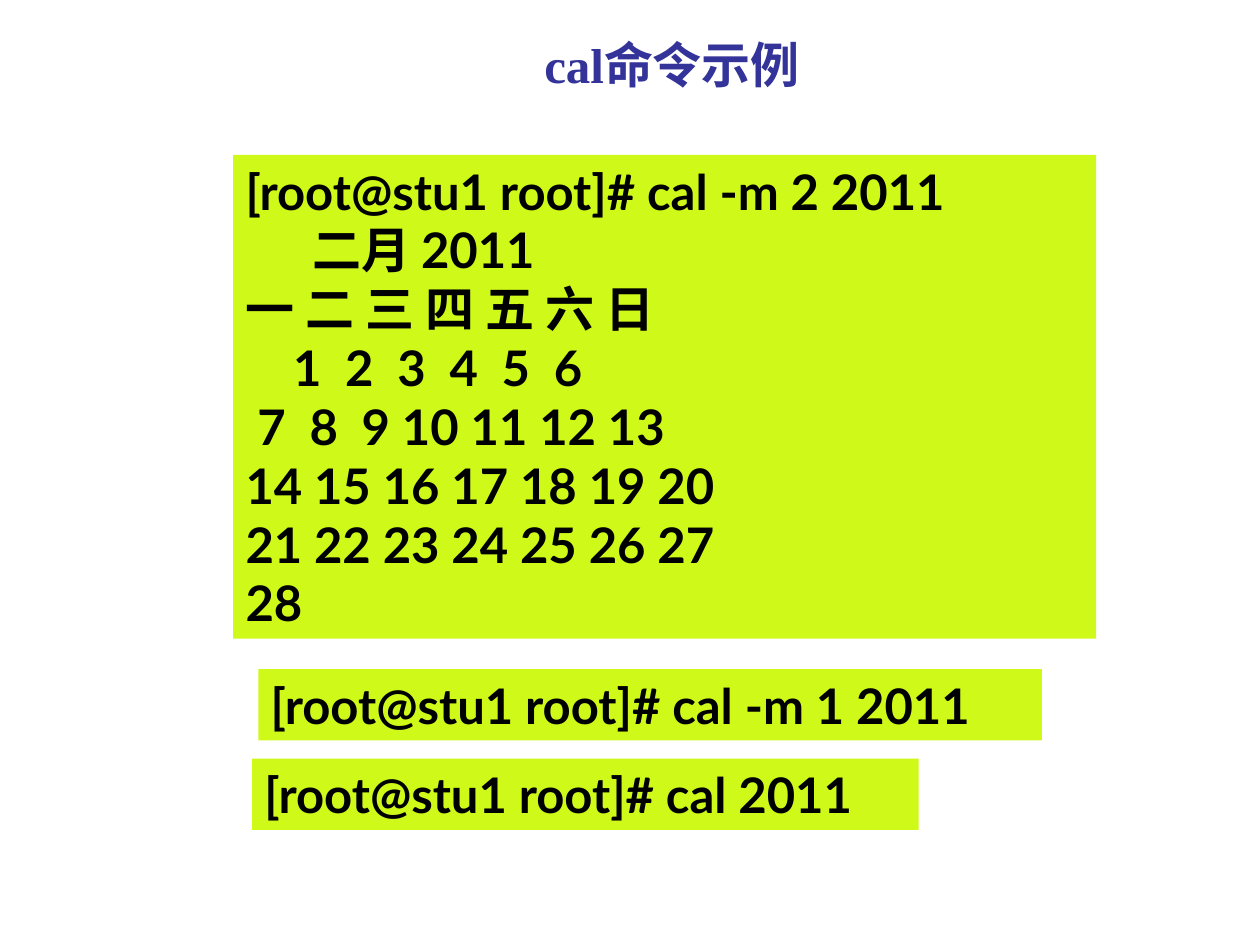
from pptx import Presentation
from pptx.dml.color import RGBColor
from pptx.enum.shapes import MSO_SHAPE as Shape
from pptx.enum.text import MSO_ANCHOR as Anchor, PP_ALIGN as Align
from pptx.util import Inches, Pt

WIDTH, HEIGHT = 10, 7.5
TITLE_COLOUR, TEXT_COLOUR, TERMINAL_FILL = "333399", "000000", "CEF919"
TEXT_SIZE = 28
PROMPT = "[root@stu1 root]# "

FEBRUARY = [
    PROMPT + "cal -m 2 2011",
    "      二月 2011",
    "一 二 三 四 五 六 日",
    "    1  2  3  4  5  6",
    " 7  8  9 10 11 12 13",
    "14 15 16 17 18 19 20",
    "21 22 23 24 25 26 27",
    "28",
]


def colour(hex_code):
    return RGBColor.from_string(hex_code)


def write_lines(frame, lines, font_name, hex_code, align):
    frame.word_wrap = True
    for number, line in enumerate(lines):
        paragraph = frame.paragraphs[0] if number == 0 else frame.add_paragraph()
        paragraph.alignment = align
        run = paragraph.add_run()
        run.text = line
        run.font.name = font_name
        run.font.size = Pt(TEXT_SIZE)
        run.font.bold = True
        run.font.color.rgb = colour(hex_code)


def add_title(slide, text, left, top, width, height):
    title = slide.shapes.add_textbox(*map(Inches, (left, top, width, height)))
    title.text_frame.vertical_anchor = Anchor.MIDDLE
    write_lines(title.text_frame, [text], "Times New Roman", TITLE_COLOUR, Align.CENTER)


def add_terminal(slide, lines, left, top, width):
    # One line takes 0.47 in, plus the top and bottom margins
    height = 0.1 + 0.4675 * len(lines)
    terminal = slide.shapes.add_shape(
        Shape.RECTANGLE, *map(Inches, (left, top, width, height)))
    terminal.shadow.inherit = False
    terminal.fill.solid()
    terminal.fill.fore_color.rgb = colour(TERMINAL_FILL)
    terminal.line.fill.background()
    terminal.text_frame.vertical_anchor = Anchor.TOP
    write_lines(terminal.text_frame, lines, "Lato", TEXT_COLOUR, Align.LEFT)


def main():
    deck = Presentation()
    deck.slide_width, deck.slide_height = Inches(WIDTH), Inches(HEIGHT)
    slide = deck.slides.add_slide(deck.slide_layouts[6])

    # Heading
    add_title(slide, "cal命令示例", WIDTH / 15, 0.21, WIDTH * 14 / 15, 0.6)

    # Shorter commands, then the one with its output
    add_terminal(slide, [PROMPT + "cal -m 1 2011"], 2.05, 5.31, 6.22)
    add_terminal(slide, [PROMPT + "cal 2011"], 2, 6.02, 5.29)
    add_terminal(slide, FEBRUARY, 1.85, 1.23, 6.85)

    deck.save("out.pptx")


if __name__ == "__main__":
    main()
